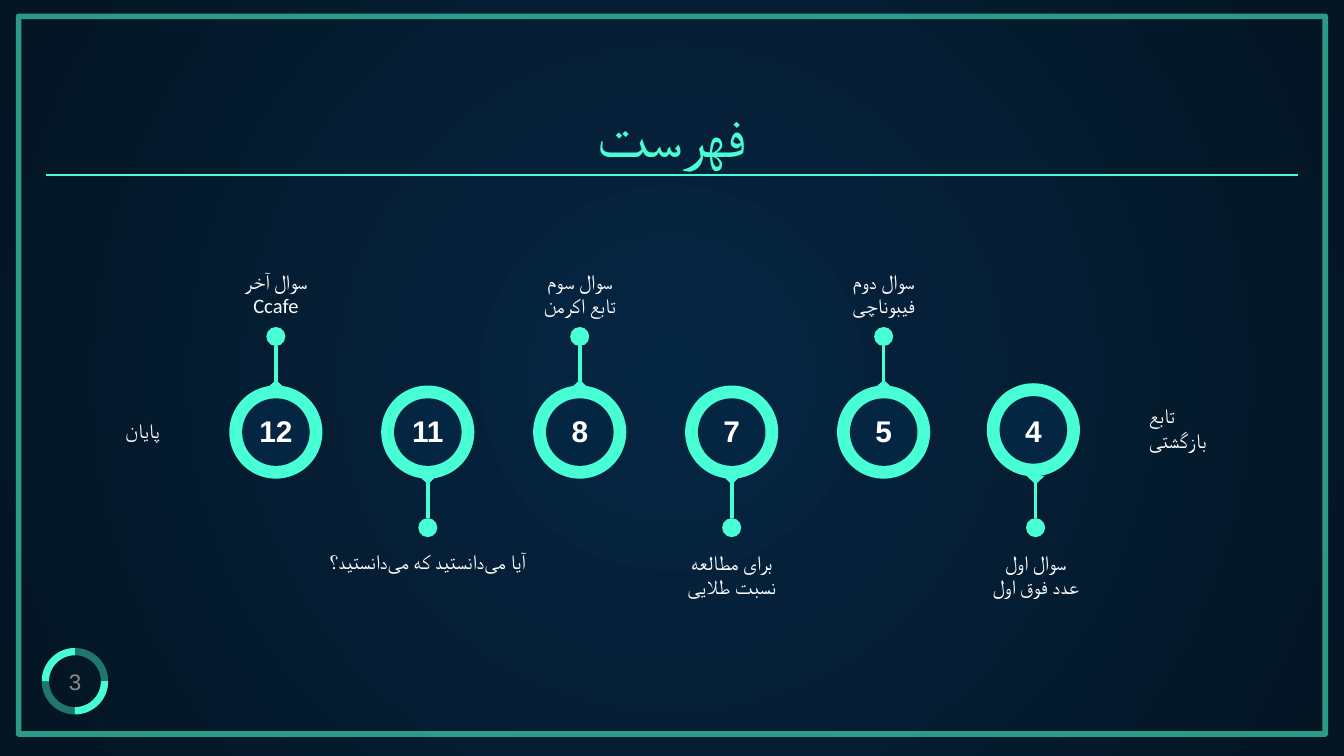
"""Build a table-of-contents timeline slide in Persian."""
import math

from lxml import etree
from pptx import Presentation
from pptx import util as u
from pptx.dml.color import RGBColor
from pptx.enum import shapes, text
from pptx.oxml.ns import qn

MINT = RGBColor(0x48, 0xFF, 0xD5)
FRAME = RGBColor(0x35, 0xBD, 0x9E)
NAVY = RGBColor(0x05, 0x26, 0x43)
NIGHT = RGBColor(0x04, 0x15, 0x23)
WHITE = RGBColor(0xFF, 0xFF, 0xFF)
GREY = RGBColor(0x8C, 0x8C, 0x8C)

SHAPE = shapes.MSO_SHAPE
CENTER = text.PP_ALIGN.CENTER
LEFT = text.PP_ALIGN.LEFT
MIDDLE = text.MSO_ANCHOR.MIDDLE
TOP = text.MSO_ANCHOR.TOP

NON_JOINER = chr(0x200C)
KNEW = NON_JOINER.join(["می", "دانستید"])
PITCH = 81.4
UP, DOWN = -1, 1
MILESTONES = [
    ("12", UP, ["سوال آخر", "Ccafe"], 132, (0, 0)),
    ("11", DOWN, [f"آیا {KNEW} که {KNEW}؟"], 132, (0, 0)),
    ("8", UP, ["سوال سوم", "تابع اکرمن"], 132, (0, 0)),
    ("7", DOWN, ["برای مطالعه", "نسبت طلایی"], 132, (0, 0)),
    ("5", UP, ["سوال دوم", "فیبوناچی"], 74, (0, 0)),
    ("4", DOWN, ["سوال اول", "عدد فوق اول"], 101, (-1.2, -1.2)),
]


def place(box):
    """Turn a box in points into lengths."""
    return [u.Pt(value) for value in box]


def set_alpha(element, percent):
    """Make the colour inside an element partly transparent."""
    colour = next(element.iter(qn("a:srgbClr")))
    etree.SubElement(colour, qn("a:alpha")).set("val", str(percent * 1000))


def write(frame, lines, size, font, colour, align=CENTER, bold=False, rtl=False):
    """Write lines as paragraphs into a text frame."""
    for index, line in enumerate(lines):
        para = frame.add_paragraph() if index else frame.paragraphs[0]
        para.alignment = align
        if rtl:
            para._p.get_or_add_pPr().set("rtl", "1")
        span = para.add_run()
        span.text = line
        span.font.size = u.Pt(size)
        span.font.bold = bold
        span.font.color.rgb = colour
        span.font.name = font
        script = etree.Element(qn("a:cs"))
        script.set("typeface", font)
        span._r.rPr.find(qn("a:latin")).addnext(script)


def set_frame(frame, inset, anchor, wrap=True):
    """Set the insets, anchor and wrapping of a text frame."""
    frame.margin_left = frame.margin_right = u.Pt(7.2)
    frame.margin_top = frame.margin_bottom = u.Pt(inset)
    frame.vertical_anchor = anchor
    frame.word_wrap = wrap


def add_text(parts, box, lines, size, font, colour, inset=7.2, anchor=TOP,
             wrap=True, **style):
    """Add a text box."""
    frame = parts.add_textbox(*place(box)).text_frame
    set_frame(frame, inset, anchor, wrap)
    write(frame, lines, size, font, colour, **style)


def add_label(parts, box, lines, align=CENTER):
    """Add a right-to-left label."""
    add_text(parts, box, lines, 11, "Calibri", WHITE, align=align, rtl=True)


def add_solid(parts, kind, center, size, colour):
    """Add a filled shape without outline, centred on a point."""
    (x, y), (width, height) = center, size
    box = (x - width / 2, y - height / 2, width, height)
    shape = parts.add_shape(kind, *place(box))
    shape.shadow.inherit = False
    shape.fill.solid()
    shape.fill.fore_color.rgb = colour
    shape.line.fill.background()
    return shape


def add_line(parts, start, end, width):
    """Add a straight mint line."""
    line = parts.add_connector(shapes.MSO_CONNECTOR.STRAIGHT, *place(start + end))
    line.line.color.rgb = MINT
    line.line.width = u.Pt(width)
    etree.SubElement(line._element.spPr, qn("a:effectLst"))


def add_background(page):
    """Fill the page with a circular gradient."""
    fill = page.background.fill
    fill.gradient()
    for stop, colour in zip(fill.gradient_stops, (NAVY, NIGHT)):
        stop.color.rgb = colour
    gradient = next(page.element.iter(qn("a:gradFill")))
    gradient.remove(gradient.find(qn("a:lin")))
    circle = etree.SubElement(gradient, qn("a:path"))
    circle.set("path", "circle")
    focus = etree.SubElement(circle, qn("a:fillToRect"))
    for side in "ltrb":
        focus.set(side, "50000")


def add_border(page, box):
    """Draw the border around the page."""
    border = page.shapes.add_shape(SHAPE.RECTANGLE, *place(box))
    border.shadow.inherit = False
    border.fill.background()
    border.line.color.rgb = FRAME
    border.line.width = u.Pt(3)
    set_alpha(border.line._ln, 80)


def add_page_number(page, box, number):
    """Draw a ring of four quarters with the page number inside."""
    left, top, width, height = box
    x, y, outer = left + width / 2, top + height / 2, width / 2
    inner = outer - 3.9
    for quarter in range(4):
        angles = [math.radians(90 * quarter + step) for step in range(0, 91, 5)]
        route = [(outer, angle) for angle in angles]
        route += [(inner, angle) for angle in reversed(angles)]
        points = [(u.Pt(x + radius * math.cos(angle)), u.Pt(y + radius * math.sin(angle)))
                  for radius, angle in route]
        builder = page.shapes.build_freeform(*points[0])
        builder.add_line_segments(points[1:])
        arc = builder.convert_to_shape()
        arc.shadow.inherit = False
        arc.fill.solid()
        arc.fill.fore_color.rgb = MINT
        arc.line.fill.background()
        if quarter % 2:
            set_alpha(arc._element.spPr, 41)
    add_text(page.shapes, box, [number], 12, "Arial", GREY, inset=3.6, anchor=MIDDLE)


def add_heading(page, box, words):
    """Place the title and the rule beneath it."""
    left, top, width, height = box
    title = page.shapes.title
    title.left, title.top, title.width, title.height = place(box)
    set_frame(title.text_frame, 7.2, text.MSO_ANCHOR.BOTTOM)
    title.text_frame.auto_size = text.MSO_AUTO_SIZE.NONE
    write(title.text_frame, [words], 32, "Roboto", MINT)
    rule = top + height - 4.2
    add_line(page.shapes, (left, rule), (left + width, rule), 0.75)


def add_milestone(page, box, number, side, lines, label_width, shift):
    """Draw a numbered ring with a stem and a label above or below."""
    left, top, width, height = box
    x, y = left + width / 2, top + height / 2
    ring = (x + shift[0], y + shift[1])
    parts = page.shapes.add_group_shape().shapes
    add_solid(parts, SHAPE.OVAL, ring, (49.9, 49.9), MINT)
    tip = add_solid(parts, SHAPE.ISOSCELES_TRIANGLE, (x, y + side * 25.7), (9.6, 4.6), MINT)
    tip.rotation = 180 if side == DOWN else 0
    add_line(parts, (x, y + side * 22), (x, y + side * 46), 1.95)
    add_solid(parts, SHAPE.OVAL, (x, y + side * 51.2), (10.2, 10.2), MINT)
    add_solid(parts, SHAPE.OVAL, ring, (36.2, 36.2), NAVY)
    add_text(parts, (ring[0] - 16, y - 14.2, 32, 26.6), [number], 16, "Arial", WHITE,
             inset=3.6, anchor=MIDDLE, wrap=False, bold=True)
    label_top = top if side == UP else top + height - 38.9
    add_label(parts, (x - label_width / 2, label_top, label_width, 32.4), lines)


def add_timeline(page, box):
    """Set out the milestones in equal columns with a label at each end."""
    left, top, width, height = box
    for index, milestone in enumerate(MILESTONES):
        column = (left + index * PITCH, top, PITCH, height)
        add_milestone(page, column, *milestone)
    add_label(page.shapes, (left - 53.8, top + 80.6, 46, 23.8), ["پایان"])
    add_label(page.shapes, (left + width + 12.9, top + 72, 57.6, 33.8),
              ["تابع", "بازگشتی"], LEFT)


def main():
    """Build and save the deck."""
    deck = Presentation()
    deck.slide_width, deck.slide_height = u.Pt(720), u.Pt(405)
    page = deck.slides.add_slide(deck.slide_layouts[5])
    add_background(page)
    add_border(page, (10, 8.8, 700, 384.5))
    add_page_number(page, (22.4, 347.2, 35.6, 35.6), "3")
    add_heading(page, (24.5, 50.4, 671, 47.5), "فهرست")
    add_timeline(page, (107.1, 136.8, PITCH * len(MILESTONES), 189.4))
    deck.save("out.pptx")


if __name__ == "__main__":
    main()
